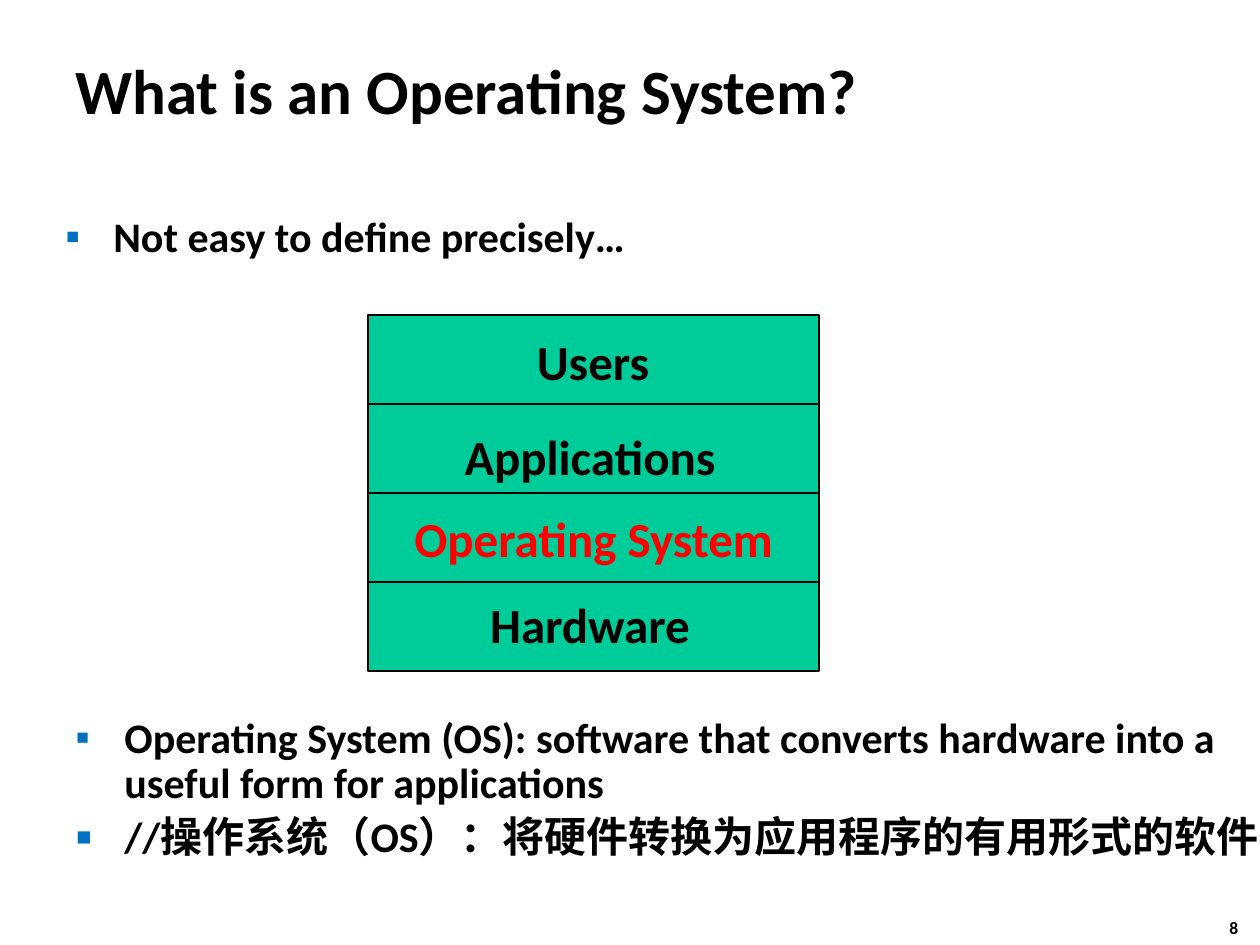
from dataclasses import dataclass
from typing import Optional

from lxml.etree import SubElement
from pptx import Presentation
from pptx.dml.color import RGBColor
from pptx.enum.shapes import MSO_SHAPE
from pptx.enum.text import MSO_ANCHOR, PP_ALIGN
from pptx.oxml.ns import qn
from pptx.util import Emu, Pt

EMU_PER_PX = 914400 / 126
BLACK = RGBColor(0x00, 0x00, 0x00)
RED = RGBColor(0xFF, 0x00, 0x00)
GREEN = RGBColor(0x00, 0xCC, 0x99)
BULLET_BLUE = RGBColor(0x00, 0x70, 0xC0)
FONT = "Calibri"
LAYER_LEFT, LAYER_TOP, LAYER_WIDTH, LAYER_HEIGHT = 368, 315, 451, 89


@dataclass(frozen=True)
class Box:
    left: int
    top: int
    width: int
    height: int


@dataclass(frozen=True)
class Layer:
    name: str
    color: RGBColor = BLACK
    label: Optional[Box] = None


@dataclass(frozen=True)
class Bullet:
    text: str
    mark: str
    percent: int


LAYERS = (
    Layer("Users", label=Box(483, 325, 220, 72)),
    Layer("Applications", label=Box(450, 420, 280, 72)),
    Layer("Operating System", RED),
    Layer("Hardware", label=Box(476, 588, 228, 72)),
)
INTRO = (Bullet("Not easy to define precisely…", "▪", 100),)
DEFINITIONS = (
    Bullet("Operating System (OS): software that converts hardware into a "
           "useful form for applications", "■", 50),
    Bullet("//操作系统（OS）：将硬件转换为应用程序的有用形式的软件", "■", 60),
)


def px(length: int) -> Emu:
    """Turn pixels into EMU."""
    return Emu(round(length * EMU_PER_PX))


def bounds(box: Box) -> tuple:
    """Give the box as left, top, width and height in EMU."""
    return px(box.left), px(box.top), px(box.width), px(box.height)


def style(paragraph, size: int, color: RGBColor = BLACK, align=PP_ALIGN.LEFT) -> None:
    """Format a paragraph and its runs in bold."""
    paragraph.alignment = align
    for run in paragraph.runs:
        run.font.name = FONT
        run.font.size = Pt(size)
        run.font.bold = True
        run.font.color.rgb = color


def hang(paragraph, indent: int):
    """Give a paragraph a hanging indent and return its properties."""
    properties = paragraph._p.get_or_add_pPr()
    properties.set("marL", str(px(indent)))
    properties.set("indent", str(-px(indent)))
    return properties


def add_text(slide, box: Box, text: str, size: int, align=PP_ALIGN.LEFT, wrap=False) -> None:
    """Add a text box with one paragraph."""
    frame = slide.shapes.add_textbox(*bounds(box)).text_frame
    frame.word_wrap = wrap
    frame.text = text
    style(frame.paragraphs[0], size, align=align)


def add_bullets(slide, box: Box, bullets: tuple) -> None:
    """Add a text box with bulleted paragraphs."""
    frame = slide.shapes.add_textbox(*bounds(box)).text_frame
    frame.word_wrap = True
    frame.text = "\n".join(bullet.text for bullet in bullets)
    for index, (paragraph, bullet) in enumerate(zip(frame.paragraphs, bullets)):
        properties = hang(paragraph, 48)
        color = SubElement(properties, qn("a:buClr"))
        SubElement(color, qn("a:srgbClr"), val=str(BULLET_BLUE))
        SubElement(properties, qn("a:buSzPct"), val=str(bullet.percent * 1000))
        SubElement(properties, qn("a:buFont"), typeface="Arial")
        SubElement(properties, qn("a:buChar"), char=bullet.mark)
        paragraph.line_spacing = 0.9
        paragraph.space_before = Pt(4.8 if index else 0)
        style(paragraph, 24)


def add_layer(slide, index: int, layer: Layer) -> None:
    """Add one layer of the system stack with its name."""
    box = Box(LAYER_LEFT, LAYER_TOP + index * LAYER_HEIGHT, LAYER_WIDTH, LAYER_HEIGHT)
    block = slide.shapes.add_shape(MSO_SHAPE.RECTANGLE, *bounds(box))
    block.shadow.inherit = False
    block.fill.solid()
    block.fill.fore_color.rgb = GREEN
    block.line.color.rgb = BLACK
    block.line.width = Pt(0.75)
    if layer.label:
        add_text(slide, layer.label, layer.name, 28, PP_ALIGN.CENTER, wrap=True)
    else:
        frame = block.text_frame
        frame.word_wrap = False
        frame.vertical_anchor = MSO_ANCHOR.MIDDLE
        frame.text = layer.name
        style(frame.paragraphs[0], 28, layer.color, PP_ALIGN.CENTER)


def set_title(slide, box: Box, text: str) -> None:
    """Place and format the slide title."""
    title = slide.shapes.title
    title.left, title.top, title.width, title.height = bounds(box)
    title.text_frame.text = text
    title.text_frame.vertical_anchor = MSO_ANCHOR.MIDDLE
    heading = title.text_frame.paragraphs[0]
    hang(heading, 16)
    style(heading, 36)


def main() -> None:
    """Build the slide and save it."""
    presentation = Presentation()
    presentation.slide_width = px(1260)
    presentation.slide_height = px(945)
    slide = presentation.slides.add_slide(presentation.slide_layouts.get_by_name("Title Only"))
    set_title(slide, Box(63, 10, 1155, 158), "What is an Operating System?")
    add_bullets(slide, Box(53, 210, 1071, 73), INTRO)
    for index, layer in enumerate(LAYERS):
        add_layer(slide, index, layer)
    add_bullets(slide, Box(64, 711, 1218, 210), DEFINITIONS)
    add_text(slide, Box(1217, 911, 47, 34), "8", 10)
    presentation.save("out.pptx")


if __name__ == "__main__":
    main()
